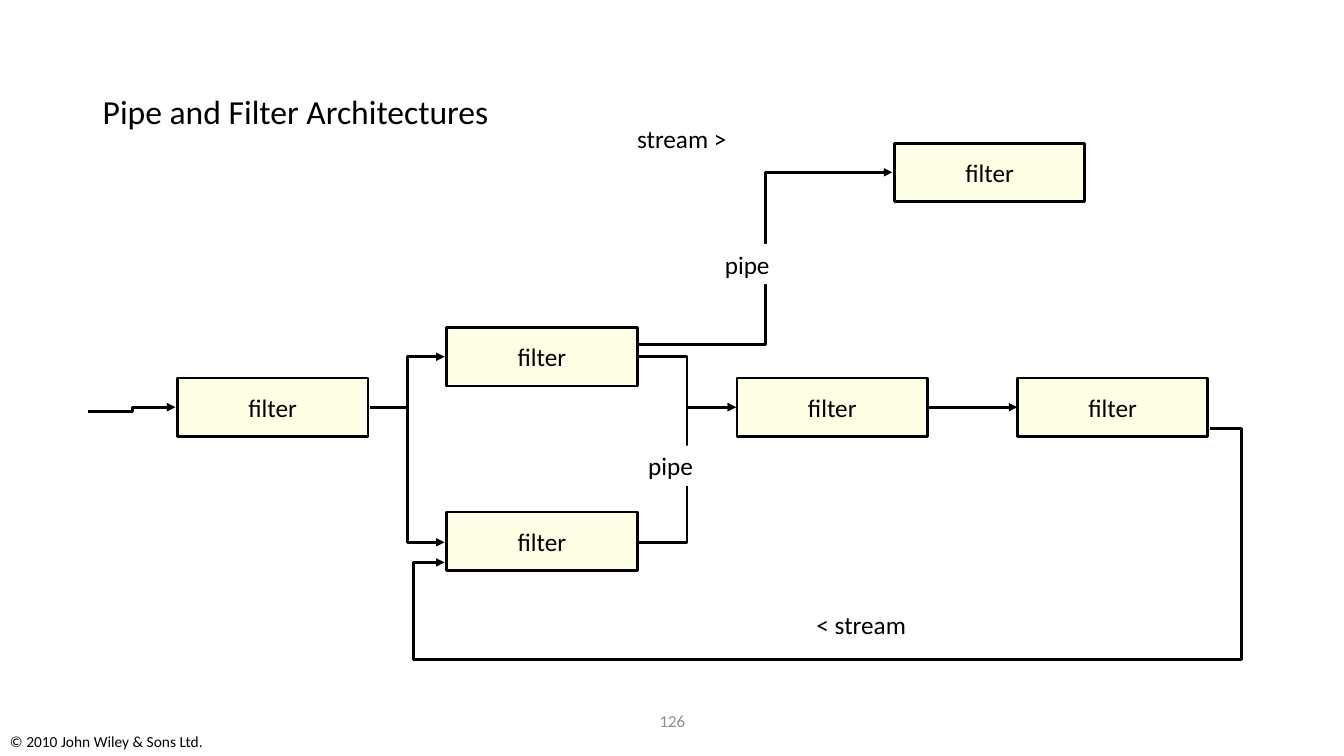
from lxml.etree import SubElement
from pptx import Presentation
from pptx.dml.color import RGBColor
from pptx.enum.shapes import MSO_CONNECTOR, MSO_SHAPE
from pptx.enum.text import MSO_ANCHOR, PP_ALIGN
from pptx.oxml.ns import qn
from pptx.util import Inches, Pt

FILTER_WIDTH, FILTER_HEIGHT = 1.89, 0.58


def color(hex_value):
    return RGBColor.from_string(hex_value)


def write(box, text, size=18, ink="000000", align=PP_ALIGN.LEFT,
          anchor=MSO_ANCHOR.TOP, wrap=False, spacing=None):
    frame = box.text_frame
    frame.word_wrap = wrap
    frame.vertical_anchor = anchor
    para = frame.paragraphs[0]
    para.alignment = align
    para.line_spacing = spacing
    span = para.add_run()
    span.text = text
    span.font.name = "Calibri"
    span.font.size = Pt(size)
    span.font.color.rgb = color(ink)


deck = Presentation()
deck.slide_width, deck.slide_height = Inches(13.33), Inches(7.5)
page = deck.slides.add_slide(deck.slide_layouts[6])
shapes = page.shapes

# Title
title = shapes.add_textbox(Inches(0.92), Inches(0.4), Inches(11.5), Inches(1.45))
write(title, "Pipe and Filter Architectures", size=24,
      anchor=MSO_ANCHOR.MIDDLE, wrap=True, spacing=0.9)

# Filters
filter_places = {
    "source": (1.76, 3.75),
    "upper": (4.43, 3.25),
    "lower": (4.43, 5.08),
    "merge": (7.31, 3.75),
    "last": (10.09, 3.75),
    "branch": (8.87, 1.42),
}
filters = {}
for name, (left, top) in filter_places.items():
    box = shapes.add_shape(MSO_SHAPE.RECTANGLE, Inches(left), Inches(top),
                           Inches(FILTER_WIDTH), Inches(FILTER_HEIGHT))
    box.shadow.inherit = False
    box.fill.solid()
    box.fill.fore_color.rgb = color("FFFFE5")
    box.line.color.rgb = color("000000")
    box.line.width = Pt(2)
    write(box, "filter", align=PP_ALIGN.CENTER, anchor=MSO_ANCHOR.MIDDLE)
    filters[name] = box

# Pipes: start, end, preset, bend positions in 1/100000 of the extent
pipes = [
    ((3.67, 4.04), (4.41, 3.54), "bentConnector3", [50000]),
    ((3.67, 4.04), (4.41, 5.38), "bentConnector3", [50000]),
    ((6.33, 3.54), (7.3, 4.04), "bentConnector3", [50000]),
    ((6.33, 5.38), (7.3, 4.04), "bentConnector3", [50000]),
    ((9.2, 4.04), (10.09, 4.04), "line", []),
    ((12, 4.25), (4.41, 5.58), "bentConnector5", [-4100, 172400, 104100]),
    ((6.31, 3.42), (8.85, 1.71), "bentConnector3", [50400]),
    ((0.87, 4.08), (1.74, 4.04), "bentConnector3", [50900]),
]
for start, end, preset, bends in pipes:
    kind = MSO_CONNECTOR.ELBOW if bends else MSO_CONNECTOR.STRAIGHT
    pipe = shapes.add_connector(kind, *map(Inches, start + end))
    pipe.line.color.rgb = color("000000")
    pipe.line.width = Pt(2)
    SubElement(pipe.line._get_or_add_ln(), qn("a:tailEnd"), type="triangle")
    properties = pipe._element.spPr
    SubElement(properties, qn("a:effectLst"))
    if not bends:
        pipe.begin_connect(filters["merge"], 3)
        pipe.end_connect(filters["last"], 1)
        continue
    geometry = properties.find(qn("a:prstGeom"))
    geometry.set("prst", preset)
    guides = geometry.find(qn("a:avLst"))
    for number, bend in enumerate(bends, start=1):
        SubElement(guides, qn("a:gd"), name=f"adj{number}", fmla=f"val {bend}")

# Pipe labels, filled white to interrupt the line behind them
for left, top in [(7.09, 2.42), (6.33, 4.42)]:
    label = shapes.add_textbox(Inches(left), Inches(top), Inches(0.65), Inches(0.4))
    label.fill.solid()
    label.fill.fore_color.rgb = color("FFFFFF")
    write(label, "pipe")

# Stream labels
for text, left, top in [("< stream", 8, 6), ("stream >", 6.22, 1.17)]:
    label = shapes.add_textbox(Inches(left), Inches(top), Inches(1.1), Inches(0.4))
    write(label, text)

# Footer
notice = shapes.add_textbox(Inches(0), Inches(7.21), Inches(5.31), Inches(0.29))
write(notice, "© 2010 John Wiley & Sons Ltd.", size=11, wrap=True)
number_box = shapes.add_textbox(Inches(4.56), Inches(6.95), Inches(4.22), Inches(0.4))
write(number_box, "126", size=12, ink="8C8C8C", align=PP_ALIGN.CENTER,
      anchor=MSO_ANCHOR.MIDDLE, wrap=True)

deck.save("out.pptx")
